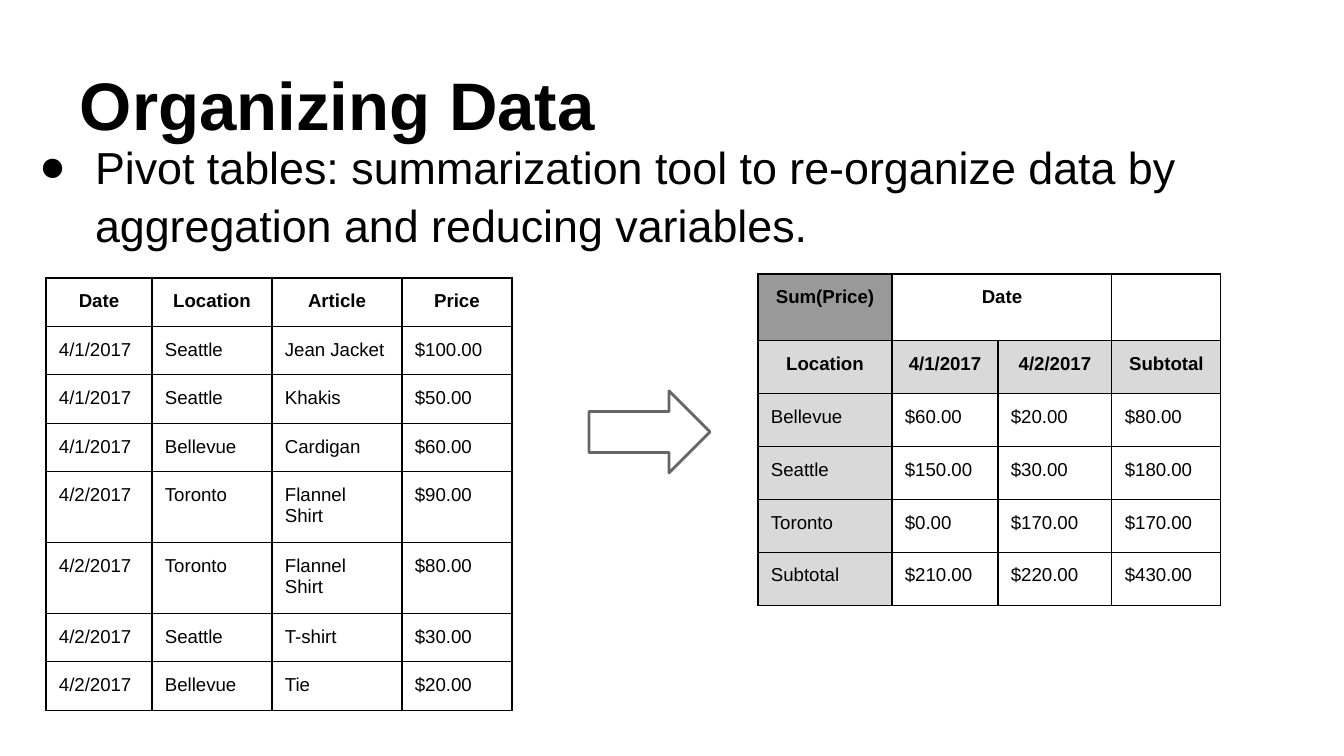
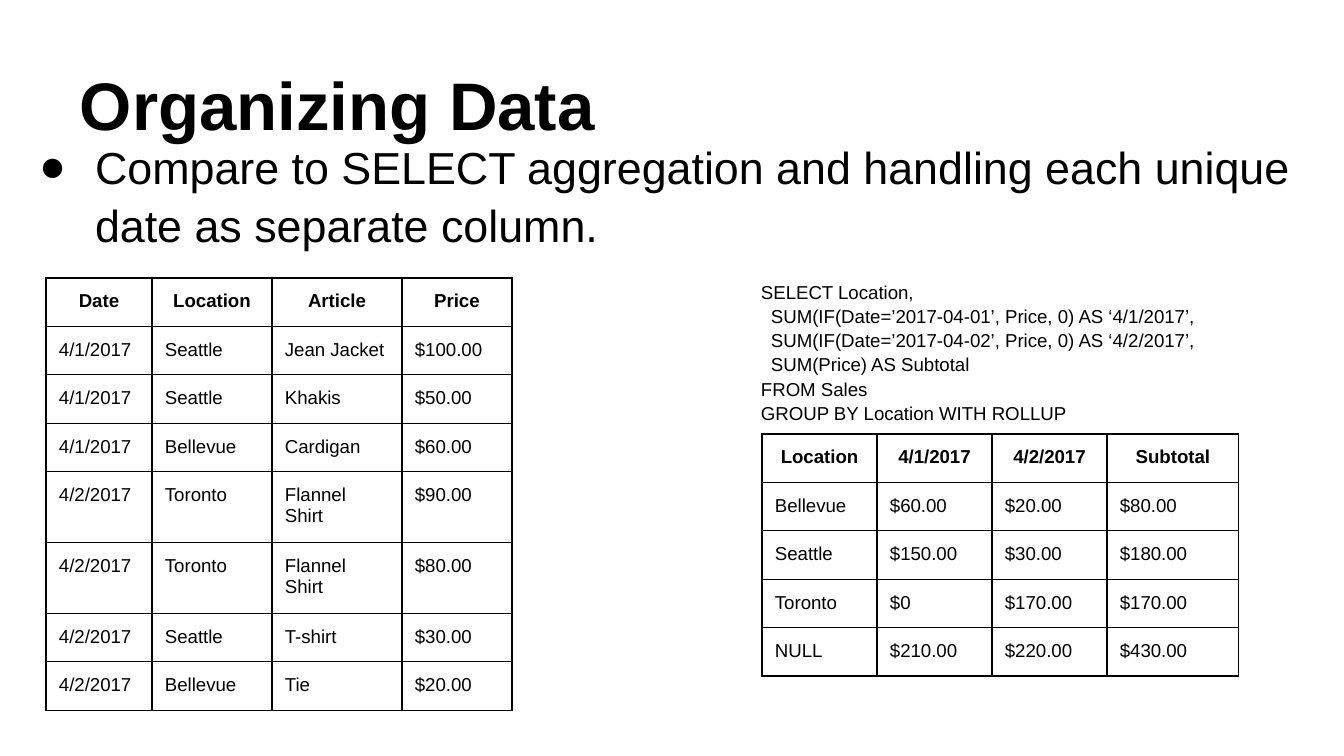
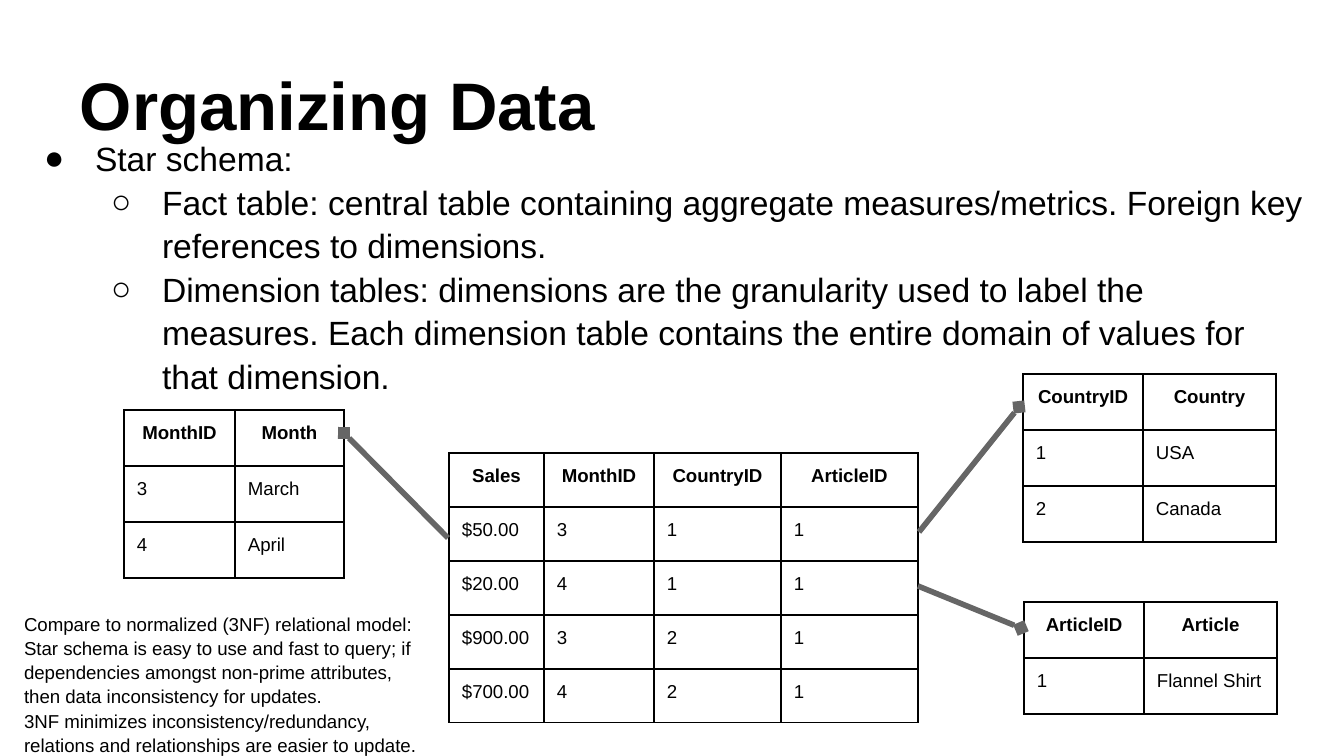
from lxml import etree
from pptx import Presentation
from pptx.dml.color import RGBColor
from pptx.enum.shapes import MSO_CONNECTOR as LINE, MSO_SHAPE as SHAPE
from pptx.enum.text import MSO_ANCHOR as ANCHOR, PP_ALIGN as ALIGN
from pptx.oxml.ns import qn
from pptx.util import Pt

PX = 6804
INSET = 13 * PX
FONT = "Arial"
BLACK = RGBColor(0x00, 0x00, 0x00)
WHITE = RGBColor(0xFF, 0xFF, 0xFF)
GREY = RGBColor(0x66, 0x66, 0x66)
DARK = RGBColor(0x99, 0x99, 0x99)
LIGHT = RGBColor(0xD9, 0xD9, 0xD9)


def write(tf, text, size=10, bold=False, align=None, spacing=None, before=0,
          bullet=None, level=0, left=0, hang=0):
    p = tf.paragraphs[0] if not tf.text else tf.add_paragraph()
    p.alignment = align
    p.level = level
    p.line_spacing = spacing
    p.space_before = Pt(before)
    r = p.add_run()
    r.text = text
    r.font.name = FONT
    r.font.size = Pt(size)
    r.font.bold = bold
    r.font.color.rgb = BLACK
    pPr = p._p.get_or_add_pPr()
    pPr.set("marL", str(left * PX))
    pPr.set("indent", str(-hang * PX))
    if bullet:
        clr = etree.SubElement(pPr, qn("a:buClr"))
        etree.SubElement(clr, qn("a:srgbClr"), val=str(BLACK))
        etree.SubElement(pPr, qn("a:buFont"), typeface=FONT)
        etree.SubElement(pPr, qn("a:buChar"), char=bullet)


def draw_table(s, x, y, widths, heights, rows, heads=1):
    frame = s.shapes.add_table(len(rows), len(widths), x * PX, y * PX,
                               sum(widths) * PX, sum(heights) * PX)
    table = frame.table
    table.first_row = table.horz_banding = False
    for col, w in zip(table.columns, widths):
        col.width = w * PX
    for i, (row, h) in enumerate(zip(rows, heights)):
        table.rows[i].height = h * PX
        for j, text in enumerate(row):
            cell = table.cell(i, j)
            cell.margin_left = cell.margin_right = INSET
            cell.margin_top = cell.margin_bottom = INSET
            tcPr = cell._tc.get_or_add_tcPr()
            for side in ("lnL", "lnR", "lnT", "lnB"):
                ln = etree.SubElement(tcPr, qn("a:" + side), w=str(Pt(0.75)))
                fill = etree.SubElement(ln, qn("a:solidFill"))
                etree.SubElement(fill, qn("a:srgbClr"), val=str(BLACK))
            cell.fill.background()
            if text:
                write(cell.text_frame, text, bold=i < heads,
                      align=ALIGN.CENTER if i < heads else ALIGN.LEFT)
    return table


prs = Presentation()
prs.slide_width = 1344 * PX
prs.slide_height = 756 * PX

contents = [
    (24, 56, [
        ("Pivot tables: summarization tool to re-organize data by aggregation "
         "and reducing variables.", 0)]),
    (24, 56, [
        ("Compare to SELECT aggregation and handling each unique date as "
         "separate column.", 0)]),
    (18, 51, [
        ("Star schema:", 0),
        ("Fact table: central table containing aggregate measures/metrics. "
         "Foreign key references to dimensions.", 1),
        ("Dimension tables: dimensions are the granularity used to label the "
         "measures. Each dimension table contains the entire domain of values "
         "for that dimension.", 1)]),
]
slides = []
for size, hang, bullets in contents:
    s = prs.slides.add_slide(prs.slide_layouts[6])
    slides.append(s)
    body = s.shapes.add_textbox(15 * PX, 122 * PX, 1308 * PX, 567 * PX)
    body.text_frame.word_wrap = True
    for text, level in bullets:
        write(body.text_frame, text, size=size, spacing=1.08,
              before=0 if level else 6, bullet="●○"[level], level=level,
              left=67 * (level + 1), hang=hang)
    title = s.shapes.add_textbox(67 * PX, 31 * PX, 1210 * PX, 126 * PX)
    title.text_frame.word_wrap = True
    title.text_frame.vertical_anchor = ANCHOR.BOTTOM
    write(title.text_frame, "Organizing Data", size=36, bold=True)
    for tf in (body.text_frame, title.text_frame):
        tf.margin_left = tf.margin_right = INSET
        tf.margin_top = tf.margin_bottom = INSET
pivot_slide, select_slide, star_slide = slides

sales = [
    ("Date", "Location", "Article", "Price"),
    ("4/1/2017", "Seattle", "Jean Jacket", "$100.00"),
    ("4/1/2017", "Seattle", "Khakis", "$50.00"),
    ("4/1/2017", "Bellevue", "Cardigan", "$60.00"),
    ("4/2/2017", "Toronto", "Flannel Shirt", "$90.00"),
    ("4/2/2017", "Toronto", "Flannel Shirt", "$80.00"),
    ("4/2/2017", "Seattle", "T-shirt", "$30.00"),
    ("4/2/2017", "Bellevue", "Tie", "$20.00"),
]
for s in (pivot_slide, select_slide):
    draw_table(s, 46, 278, [106, 120, 130, 110],
               [69 if "Flannel" in row[2] else 48 for row in sales], sales)

header = ("Location", "4/1/2017", "4/2/2017", "Subtotal")
cities = [
    ("Bellevue", "$60.00", "$20.00", "$80.00"),
    ("Seattle", "$150.00", "$30.00", "$180.00"),
]
toronto = ("$170.00", "$170.00")
totals = ("$210.00", "$220.00", "$430.00")

pivot = draw_table(
    pivot_slide, 758, 274, [134, 106, 114, 109], [64] + [53] * 5,
    [("Sum(Price)", "Date", "", ""), header, *cities,
     ("Toronto", "$0.00", *toronto), ("Subtotal", *totals)], heads=2)
pivot.cell(0, 1).merge(pivot.cell(0, 2))
shaded = [(1, j) for j in range(4)] + [(i, 0) for i in range(2, 6)]
for i, j in [(0, 0)] + shaded:
    fill = pivot.cell(i, j).fill
    fill.solid()
    fill.fore_color.rgb = LIGHT if i else DARK

arrow = pivot_slide.shapes.add_shape(SHAPE.RIGHT_ARROW, 589 * PX, 391 * PX,
                                     121 * PX, 82 * PX)
arrow.shadow.inherit = False
arrow.fill.solid()
arrow.fill.fore_color.rgb = WHITE
arrow.line.color.rgb = GREY
arrow.line.width = Pt(1.5)

draw_table(select_slide, 762, 434, [115, 115, 115, 132], [48] * 5,
           [header, *cities, ("Toronto", "$0", *toronto), ("NULL", *totals)])

notes = [
    (select_slide, 748, 266, 517, 145, [
        ("SELECT Location,", 0),
        ("SUM(IF(Date=’2017-04-01’, Price, 0) AS ‘4/1/2017’,", 10),
        ("SUM(IF(Date=’2017-04-02’, Price, 0) AS ‘4/2/2017’,", 10),
        ("SUM(Price) AS Subtotal", 10),
        ("FROM Sales", 0),
        ("GROUP BY Location WITH ROLLUP", 0)]),
    (star_slide, 11, 598, 426, 138, [
        ("Compare to normalized (3NF) relational model:", 0),
        ("Star schema is easy to use and fast to query; if dependencies amongst "
         "non-prime attributes, then data inconsistency for updates.", 0),
        ("3NF minimizes inconsistency/redundancy, relations and relationships "
         "are easier to update.", 0)]),
]
for s, x, y, w, h, lines in notes:
    tf = s.shapes.add_textbox(x * PX, y * PX, w * PX, h * PX).text_frame
    tf.word_wrap = True
    tf.margin_left = tf.margin_right = INSET
    tf.margin_top = tf.margin_bottom = INSET
    for text, left in lines:
        write(tf, text, spacing=1.08, left=left)

draw_table(star_slide, 449, 453, [95, 110, 127, 137], [54] * 5, [
    ("Sales", "MonthID", "CountryID", "ArticleID"),
    ("$50.00", "3", "1", "1"),
    ("$20.00", "4", "1", "1"),
    ("$900.00", "3", "2", "1"),
    ("$700.00", "4", "2", "1"),
])
dimensions = [
    (124, 410, [111, 109], [("MonthID", "Month"), ("3", "March"), ("4", "April")]),
    (1023, 374, [120, 133], [("CountryID", "Country"), ("1", "USA"), ("2", "Canada")]),
    (1024, 602, [120, 133], [("ArticleID", "Article"), ("1", "Flannel Shirt")]),
]
for x, y, widths, rows in dimensions:
    draw_table(star_slide, x, y, widths, [56] * len(rows), rows)

links = [
    (344, 433, 448, 538, "a:headEnd"),
    (919, 532, 1019, 407, "a:tailEnd"),
    (918, 586, 1021, 628, "a:tailEnd"),
]
for x1, y1, x2, y2, end in links:
    link = star_slide.shapes.add_connector(LINE.STRAIGHT, x1 * PX, y1 * PX,
                                           x2 * PX, y2 * PX)
    link.line.color.rgb = GREY
    link.line.width = Pt(3)
    etree.SubElement(link.line._get_or_add_ln(), qn(end), type="diamond")
    etree.SubElement(link._element.spPr, qn("a:effectLst"))

prs.save("out.pptx")
